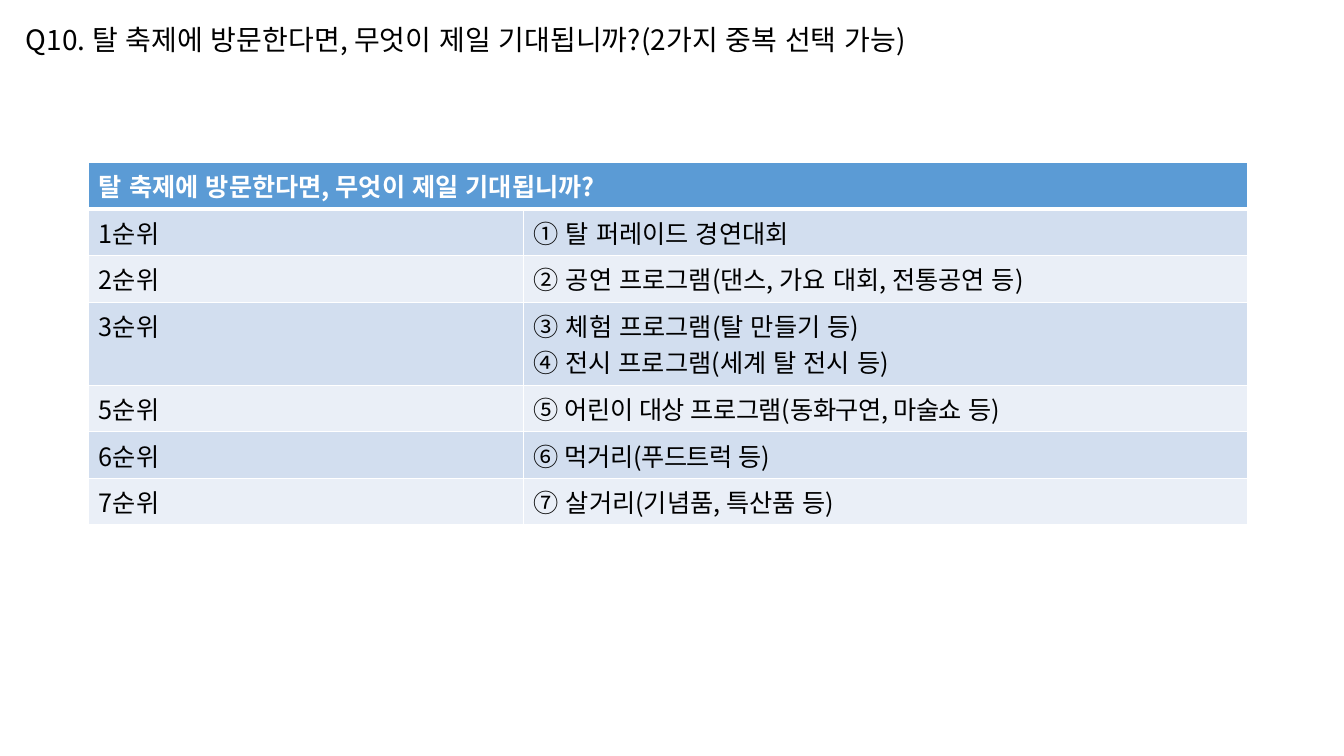
import pptx
import pptx.util
import pptx.dml.color
import pptx.enum.lang
import pptx.enum.text
import pptx.oxml
import pptx.oxml.ns

Pt = pptx.util.Pt
TIGHT = -40  # letter spacing, hundredths of a point


def color(hex):
    return pptx.dml.color.RGBColor.from_string(hex)


class Deck:
    font = "Noto Sans CJK KR"
    black, white = "000000", "FFFFFF"
    head, bands = "5B9BD5", ("D2DEEF", "EAEFF7")

    def __init__(self, width, height):
        self.show = pptx.Presentation()
        self.show.slide_width, self.show.slide_height = Pt(width), Pt(height)
        self.slide = self.show.slides.add_slide(self.show.slide_layouts[6])

    def run(self, para, text, size, ink, bold=False, gap=0):
        run = para.add_run()
        run.text = text
        font = run.font
        font.size, font.bold, font.name = Pt(size), bold, self.font
        font.language_id = pptx.enum.lang.MSO_LANGUAGE_ID.KOREAN
        font.color.rgb = color(ink)
        props = run._r.get_or_add_rPr()
        east = pptx.oxml.parse_xml(
            f'<a:ea {pptx.oxml.ns.nsdecls("a")} typeface="{self.font}"/>')
        props.find(pptx.oxml.ns.qn("a:latin")).addnext(east)
        if gap:
            props.set("spc", str(gap))

    def title(self, text, left, top, width, height, size):
        box = self.slide.shapes.add_textbox(
            Pt(left), Pt(top), Pt(width), Pt(height))
        frame = box.text_frame
        frame.word_wrap = False
        frame.auto_size = pptx.enum.text.MSO_AUTO_SIZE.SHAPE_TO_FIT_TEXT
        self.run(frame.paragraphs[0], text, size, self.black)

    def edge(self, cell, side, width):
        line = pptx.oxml.parse_xml(
            f'<a:ln{side} {pptx.oxml.ns.nsdecls("a")} w="{Pt(width)}">'
            f'<a:solidFill><a:srgbClr val="{self.white}"/></a:solidFill>'
            f'</a:ln{side}>')
        cell._tc.get_or_add_tcPr().append(line)

    def cell(self, cell, paras, fill, ink, bold=False, top=1, base=1):
        for side, width in zip("LRTB", (1, 1, top, base)):
            self.edge(cell, side, width)
        cell.fill.solid()
        cell.fill.fore_color.rgb = color(fill)
        frame = cell.text_frame
        for num, runs in enumerate(paras):
            para = frame.add_paragraph() if num else frame.paragraphs[0]
            for text, gap in runs:
                self.run(para, text, 18, ink, bold, gap)

    def table(self, head, rows, left, top, cols, first, step, height):
        frame = self.slide.shapes.add_table(
            len(rows) + 1, len(cols), Pt(left), Pt(top),
            Pt(sum(cols)), Pt(height))
        table = frame.table
        for col, width in zip(table.columns, cols):
            col.width = Pt(width)
        for num, row in enumerate(table.rows):
            row.height = Pt(step if num else first)
        frame.height = Pt(height)

        # Header across all columns
        table.cell(0, 0).merge(table.cell(0, len(cols) - 1))
        for col in range(len(cols)):
            self.cell(table.cell(0, col), [] if col else [[(head, 0)]],
                      self.head, self.white, True, base=3)

        # Banded body
        for num, (rank, items) in enumerate(rows):
            fill = self.bands[num % 2]
            above = 1 if num else 3
            for col, paras in enumerate(([[(f"{rank}순위", 0)]], items)):
                self.cell(table.cell(num + 1, col), paras, fill,
                          self.black, top=above)


deck = Deck(960, 540)

# Ranked answers
ask = "탈 축제에 방문한다면, 무엇이 제일 기대됩니까?"
ranks = [
    (1, [[("① 탈 퍼레이드 경연대회", 0)]]),
    (2, [[("② 공연 프로그램(댄스, 가요 대회, 전통공연 등)", 0)]]),
    (3, [[("③ 체험 프로그램(탈 만들기 등)", 0)],
         [("④ ", TIGHT), ("전시 프로그램(세계 탈 전시 등)", 0)]]),
    (5, [[("⑤ 어린이 대상 프로그램(동화구연, 마술쇼 등)", TIGHT)]]),
    (6, [[("⑥ 먹거리(푸드트럭 등)", TIGHT)]]),
    (7, [[("⑦ 살거리(기념품, 특산품 등)", 0)]]),
]
deck.table(ask, ranks, 63.5, 116, (310.5, 517.5), 13.7, 29.5, 225.4)

# Question
deck.title(f"Q10. {ask}(2가지 중복 선택 가능)", 11.5, 12.2, 702.7, 31.5, 20)

deck.show.save("out.pptx")
